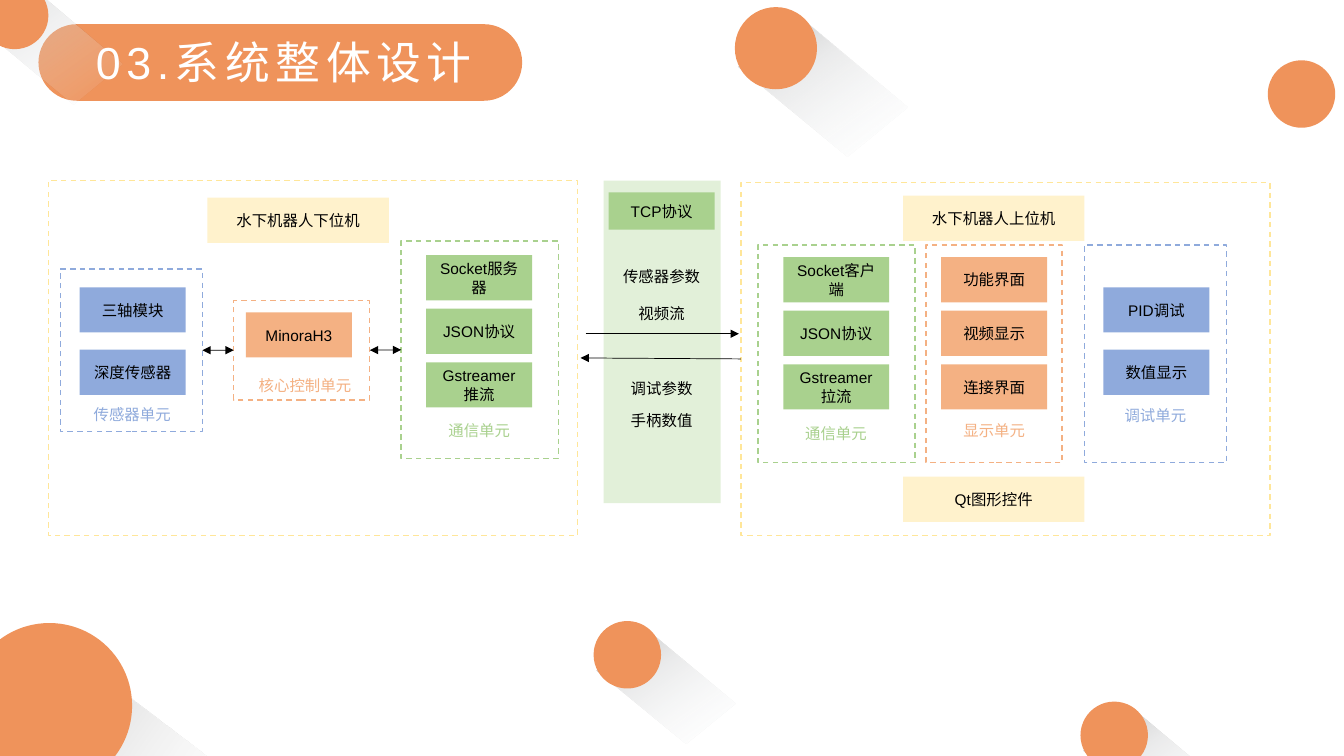
"""Build the system design slide: two underwater robot machines joined by TCP."""
from lxml.etree import SubElement
from pptx import Presentation
from pptx.dml.color import RGBColor
from pptx.enum.dml import MSO_LINE_DASH_STYLE as Dash
from pptx.enum.shapes import MSO_CONNECTOR, MSO_SHAPE as Preset
from pptx.enum.text import MSO_ANCHOR as Anchor, MSO_AUTO_SIZE as AutoSize, PP_ALIGN as Align
from pptx.oxml import parse_xml
from pptx.oxml.ns import nsdecls, qn
from pptx.util import Cm, Pt

COLORS = {
    "orange": "EF935B", "blue": "8FAADC", "peach": "F4B183", "green": "A9D18E",
    "pale_green": "E2F0D9", "yellow": "FFE699", "cream": "FFF2CC",
    "black": "000000", "white": "FFFFFF",
}
BOX_WIDTH, BOX_HEIGHT = 2.67, 1.14
LABEL_HEIGHT = 0.53

presentation = Presentation()
presentation.slide_width, presentation.slide_height = Cm(33.87), Cm(19.05)
slide = presentation.slides.add_slide(presentation.slide_layouts[5])
shapes = slide.shapes


def write(shape, text, color="black", size=11, align=Align.CENTER, anchor=Anchor.MIDDLE, spacing=0):
    frame = shape.text_frame
    frame.word_wrap = True
    frame.auto_size = AutoSize.NONE
    frame.vertical_anchor = anchor
    paragraph = frame.paragraphs[0]
    paragraph.alignment = align
    run = paragraph.add_run()
    run.text = text
    run.font.name = "Arial"
    run.font.size = Pt(size)
    run.font.color.rgb = RGBColor.from_string(COLORS[color])
    if spacing:
        run.font._element.set("spc", str(spacing * 100))


def draw(left, top, width, height, fill=None, dash=None, preset=Preset.RECTANGLE):
    shape = shapes.add_shape(preset, Cm(left), Cm(top), Cm(width), Cm(height))
    shape.shadow.inherit = False
    if fill:
        shape.fill.solid()
        shape.fill.fore_color.rgb = RGBColor.from_string(COLORS[fill])
    else:
        shape.fill.background()
    if dash:
        shape.line.color.rgb = RGBColor.from_string(COLORS[dash])
        shape.line.width = Pt(1)
        shape.line.dash_style = Dash.DASH
    else:
        shape.line.fill.background()
    return shape


title_pill = draw(0.97, 0.61, 12.19, 1.93, fill="orange", preset=Preset.ROUNDED_RECTANGLE)
title_pill.adjustments[0] = 0.5

small_shadow = [(0.05, 0.73), (0.86, 0.18), (2.1, 1.22), (1.37, 1.82)]
large_shadow = [(0.15, 0.91), (0.59, 0.15), (1.51, 0.85), (1.17, 1.56)]
soft_stops = [(0, "F7FAFD", 0), (63, "CCCDCE", 40), (100, "BFBFBF", 100)]
corner_stops = [(0, "F7FAFD", 0), (77, "CCCDCE", 40), (100, "BFBFBF", 100)]
large_stops = [(0, "FFFFFF", 0), (92, "BFBFBF", 100)]
circles = [
    (27.23, 17.68, 1.7, small_shadow, soft_stops, 234.6),
    (-0.84, 15.7, 4.17, large_shadow, large_stops, 215.1),
    (14.96, 15.65, 1.7, small_shadow, soft_stops, 234.6),
    (31.95, 1.52, 1.7, None, None, None),
    (-0.48, -0.46, 1.7, small_shadow, corner_stops, 234.6),
    (18.52, 0.18, 2.07, small_shadow, soft_stops, 234.6),
]
for left, top, diameter, outline, stops, angle in circles:
    if outline:
        points = [(Cm(left + x * diameter), Cm(top + y * diameter)) for x, y in outline]
        builder = shapes.build_freeform(*points[0], scale=1.0)
        builder.add_line_segments(points[1:], close=True)
        long_shadow = builder.convert_to_shape()
        long_shadow.shadow.inherit = False
        long_shadow.line.fill.background()
        stop_xml = "".join(
            f'<a:gs pos="{position * 1000}"><a:srgbClr val="{color}">'
            f'<a:alpha val="{alpha * 1000}"/></a:srgbClr></a:gs>'
            for position, color, alpha in stops)
        gradient = parse_xml(
            f'<a:gradFill {nsdecls("a")} rotWithShape="1"><a:gsLst>{stop_xml}</a:gsLst>'
            f'<a:lin ang="{round(angle * 60000)}" scaled="0"/></a:gradFill>')
        long_shadow._element.spPr.find(qn("a:custGeom")).addnext(gradient)
    draw(left, top, diameter, diameter, fill="orange", preset=Preset.OVAL)

title = shapes.title
title.left, title.top, title.width, title.height = Cm(1.35), Cm(0.74), Cm(11.61), Cm(1.63)
write(title, "03.系统整体设计", color="white", size=32, spacing=4)
shapes._spTree.append(title._element)

lower_machine = draw(1.22, 4.55, 13.34, 8.94, dash="yellow")
upper_machine = draw(18.67, 4.6, 13.34, 8.89, dash="yellow")

units = [
    ("blue", (1.52, 6.78, 3.58, 4.09), (2.01, 7.24, 1.57), ["三轴模块", "深度传感器"],
     "传感器单元", (2.11, 10.08, 2.46)),
    ("peach", (5.89, 7.57, 3.43, 2.51), (6.2, 7.87, 0), ["MinoraH3"],
     "核心控制单元", (6.27, 9.35, 2.87)),
    ("green", (10.11, 6.07, 3.96, 5.49), (10.74, 6.43, 1.35),
     ["Socket服务器", "JSON协议", "Gstreamer推流"], "通信单元", (11.05, 10.49, 2.08)),
    ("green", (19.1, 6.17, 3.96, 5.49), (19.74, 6.48, 1.35),
     ["Socket客户端", "JSON协议", "Gstreamer拉流"], "通信单元", (20.04, 10.57, 2.08)),
    ("peach", (23.34, 6.17, 3.43, 5.49), (23.72, 6.48, 1.35),
     ["功能界面", "视频显示", "连接界面"], "显示单元", (24.03, 10.49, 2.08)),
    ("blue", (27.33, 6.17, 3.58, 5.49), (27.81, 7.24, 1.57), ["PID调试", "数值显示"],
     "调试单元", (28.09, 10.11, 2.08)),
]
unit_frames = []
for color, bounds, (left, first_top, pitch), modules, caption, (x, y, width) in units:
    unit_frames.append(draw(*bounds, dash=color))
    for index, module in enumerate(modules):
        write(draw(left, first_top + index * pitch, BOX_WIDTH, BOX_HEIGHT, fill=color), module)
    caption_box = shapes.add_textbox(Cm(x), Cm(y), Cm(width), Cm(0.74))
    write(caption_box, caption, color=color, align=Align.LEFT, anchor=Anchor.TOP)

headings = [
    ("水下机器人下位机", 5.23, 4.98),
    ("水下机器人上位机", 22.76, 4.93),
    ("Qt图形控件", 22.76, 12.01),
]
for text, left, top in headings:
    write(draw(left, top, 4.57, BOX_HEIGHT, fill="cream"), text)

draw(15.21, 4.55, 2.95, 8.13, fill="pale_green")
write(draw(15.34, 4.85, BOX_WIDTH, 0.94, fill="green"), "TCP协议")
for text, top in [("传感器参数", 6.71), ("视频流", 7.62), ("调试参数", 9.53), ("手柄数值", 10.34)]:
    write(draw(15.34, top, BOX_WIDTH, LABEL_HEIGHT, fill="pale_green"), text)

sensor_unit, core_unit, server_unit = unit_frames[:3]
arrows = [
    ((5.1, 8.82), (5.89, 8.82), sensor_unit, 3, core_unit, ["headEnd", "tailEnd"]),
    ((9.32, 8.82), (10.11, 8.82), core_unit, 3, server_unit, ["headEnd", "tailEnd"]),
    ((14.76, 8.41), (18.62, 8.41), None, None, None, ["tailEnd"]),
    ((18.67, 9.04), (14.63, 9.02), upper_machine, 1, None, ["tailEnd"]),
]
for start, end, source, side, target, heads in arrows:
    arrow = shapes.add_connector(MSO_CONNECTOR.STRAIGHT, *map(Cm, start + end))
    if source:
        arrow.begin_connect(source, side)
    if target:
        arrow.end_connect(target, 1)
    arrow.line.color.rgb = RGBColor.from_string(COLORS["black"])
    arrow.line.width = Pt(0.5)
    for head in heads:
        SubElement(arrow.line._get_or_add_ln(), qn(f"a:{head}"), type="triangle")
    SubElement(arrow._element.spPr, qn("a:effectLst"))

presentation.save("out.pptx")
